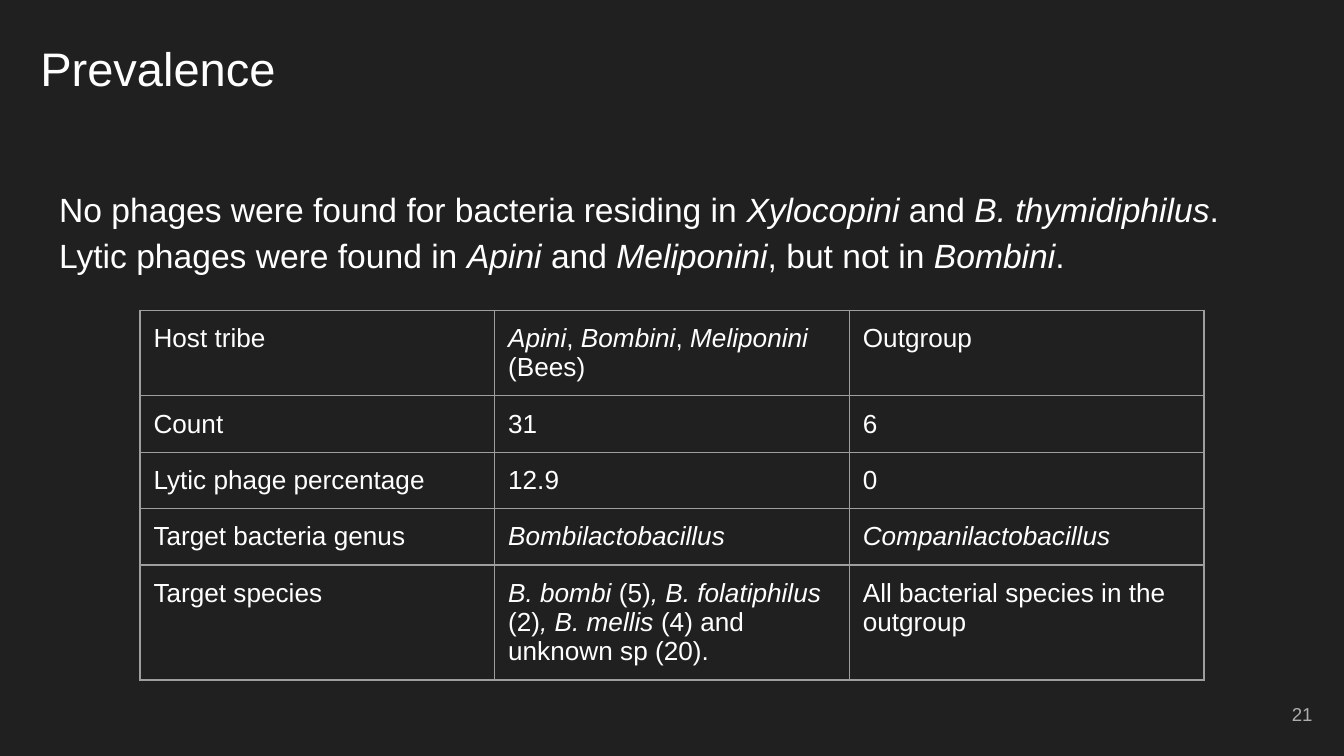
from dataclasses import dataclass

from lxml.etree import SubElement
from pptx import Presentation
from pptx.dml.color import RGBColor
from pptx.enum.text import MSO_ANCHOR, MSO_AUTO_SIZE, PP_ALIGN
from pptx.oxml.ns import qn
from pptx.slide import Slide
from pptx.table import _Cell as Cell
from pptx.text.text import TextFrame
from pptx.util import Inches, Length, Pt


@dataclass(frozen=True)
class Theme:
    font: str = "Arial"
    background: str = "202020"
    text: str = "FFFFFF"
    muted: str = "ADADAD"
    border: str = "9E9E9E"
    title_size: float = 25.2
    body_size: float = 18
    table_size: float = 14
    number_size: float = 10
    border_width: float = 0.75


@dataclass(frozen=True)
class Area:
    """A rectangle in columns and rows of the slide grid."""
    column: float
    row: float
    columns: float
    rows: float

    def lengths(self) -> tuple[Length, ...]:
        return tuple(grid(value) for value in (self.column, self.row, self.columns, self.rows))


@dataclass(frozen=True)
class TextBlock:
    area: Area
    text: str
    size: float
    color: str = Theme.text
    align: PP_ALIGN = PP_ALIGN.LEFT
    anchor: MSO_ANCHOR = MSO_ANCHOR.TOP
    line_spacing: float = 1.0


THEME = Theme()
STEPS_PER_INCH = 10
GRID_COLUMNS, GRID_ROWS = 100, 56.25
PADDING = 1

TITLE = TextBlock(Area(2, 1.95, 93.2, 6.3), "Prevalence", THEME.title_size)
BODY = TextBlock(
    Area(3.42, 12.6, 93.2, 37.4),
    "No phages were found for bacteria residing in *Xylocopini* and *B. thymidiphilus*. "
    "Lytic phages were found in *Apini* and *Meliponini*, but not in *Bombini*.",
    THEME.body_size, line_spacing=1.15)
PAGE_NUMBER = TextBlock(Area(92.65, 51, 6, 4.3), "21", THEME.number_size, THEME.muted,
                        PP_ALIGN.RIGHT, MSO_ANCHOR.MIDDLE)

TABLE_COLUMN, TABLE_ROW = 10.42, 23.08
CELL_COLUMNS, CELL_ROWS = 26.39, 4.2
PHAGE_ROWS = (
    ("Host tribe", "*Apini*, *Bombini*, *Meliponini* (Bees)", "Outgroup"),
    ("Count", "31", "6"),
    ("Lytic phage percentage", "12.9", "0"),
    ("Target bacteria genus", "*Bombilactobacillus*", "*Companilactobacillus*"),
    ("Target species",
     "*B. bombi *(5)*, B. folatiphilus *(2)*, B. mellis *(4) and unknown sp (20).",
     "All bacterial species in the outgroup"),
)


def grid(steps: float) -> Length:
    return Inches(steps / STEPS_PER_INCH)


def write_text(text_frame: TextFrame, text: str, size: float, color: str = THEME.text) -> None:
    """Write one paragraph in which asterisks enclose italic words."""
    paragraph = text_frame.paragraphs[0]
    for index, part in enumerate(text.split("*")):
        if not part:
            continue
        run = paragraph.add_run()
        run.text = part
        run.font.name = THEME.font
        run.font.size = Pt(size)
        run.font.italic = index % 2 == 1
        run.font.color.rgb = RGBColor.from_string(color)


def fill_text_shape(shape, block: TextBlock) -> None:
    shape.left, shape.top, shape.width, shape.height = block.area.lengths()
    text_frame = shape.text_frame
    text_frame.word_wrap = True
    text_frame.auto_size = MSO_AUTO_SIZE.NONE
    text_frame.vertical_anchor = block.anchor
    text_frame.margin_left = text_frame.margin_right = grid(PADDING)
    text_frame.margin_top = text_frame.margin_bottom = grid(PADDING)
    write_text(text_frame, block.text, block.size, block.color)
    paragraph = text_frame.paragraphs[0]
    paragraph.alignment = block.align
    paragraph.line_spacing = block.line_spacing


def add_text(slide: Slide, block: TextBlock) -> None:
    fill_text_shape(slide.shapes.add_textbox(*block.area.lengths()), block)


def add_cell_borders(cell: Cell) -> None:
    properties = cell._tc.get_or_add_tcPr()
    for position, side in enumerate(("lnL", "lnR", "lnT", "lnB")):
        line = properties.makeelement(qn(f"a:{side}"), {"w": str(Pt(THEME.border_width))})
        fill = SubElement(line, qn("a:solidFill"))
        SubElement(fill, qn("a:srgbClr"), val=THEME.border)
        properties.insert(position, line)


def add_phage_table(slide: Slide) -> None:
    row_count, column_count = len(PHAGE_ROWS), len(PHAGE_ROWS[0])
    area = Area(TABLE_COLUMN, TABLE_ROW, column_count * CELL_COLUMNS, row_count * CELL_ROWS)
    table = slide.shapes.add_table(row_count, column_count, *area.lengths()).table
    table.first_row = table.horz_banding = False
    for row_index, texts in enumerate(PHAGE_ROWS):
        for column_index, text in enumerate(texts):
            cell = table.cell(row_index, column_index)
            cell.fill.background()
            cell.margin_left = cell.margin_right = grid(PADDING)
            cell.margin_top = cell.margin_bottom = grid(PADDING)
            write_text(cell.text_frame, text, THEME.table_size)
            add_cell_borders(cell)


def main() -> None:
    presentation = Presentation()
    presentation.slide_width = grid(GRID_COLUMNS)
    presentation.slide_height = grid(GRID_ROWS)
    slide = presentation.slides.add_slide(presentation.slide_layouts[5])
    slide.background.fill.solid()
    slide.background.fill.fore_color.rgb = RGBColor.from_string(THEME.background)
    fill_text_shape(slide.shapes.title, TITLE)
    add_text(slide, BODY)
    add_phage_table(slide)
    add_text(slide, PAGE_NUMBER)
    presentation.save("out.pptx")


if __name__ == "__main__":
    main()
